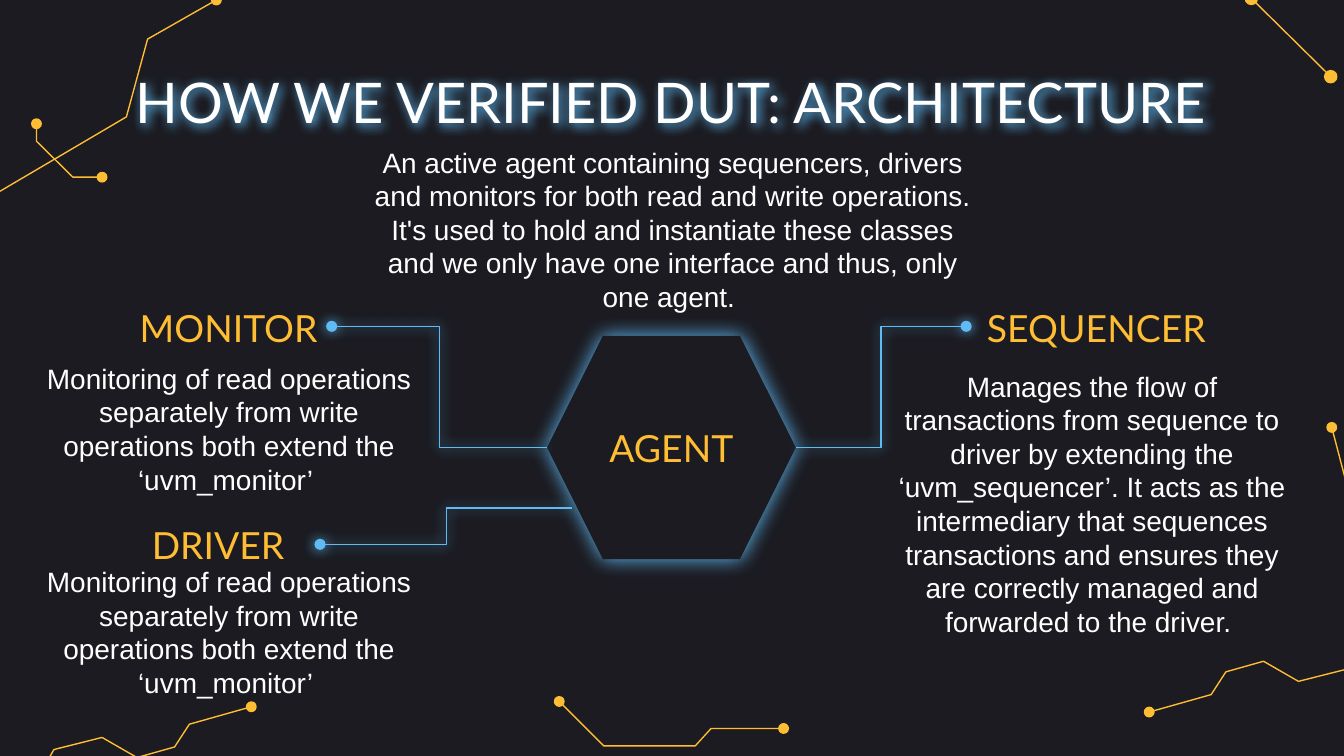
import pptx
import pptx.dml.color
import pptx.enum.shapes
import pptx.enum.text
import pptx.oxml
import pptx.oxml.ns
import pptx.util
from pptx.util import Cm

NIGHT, GOLD, SKY, WHITE = "1B1B21", "FFBD33", "60BBF5", "FFFFFF"
SHAPE = pptx.enum.shapes.MSO_SHAPE
CONNECTOR = pptx.enum.shapes.MSO_CONNECTOR
ALIGN = pptx.enum.text.PP_ALIGN
ANCHOR = pptx.enum.text.MSO_ANCHOR
NAMESPACE = pptx.oxml.ns.nsdecls("a")

CIRCUIT = [(3.45, 0), (3.89, 1.68), (4.37, 1.96), (4.65, 2.95), (3.73, 4.57),
           (2.82, 4.8), (2.16, 4.42), (1.45, 4.62), (1.17, 5.05), (0, 5.38)]
TURNED_CIRCUIT = [(4.65 - x, 5.38 - y) for x, y in CIRCUIT]

TRACES = [
    ((0.1, 13.36), TURNED_CIRCUIT, [-1], 0.18),
    ((-0.38, 0), [(4.47, 0), (3.17, 0.74), (2.77, 2.21), (0, 3.84)], [0], 0.18),
    ((21.72, 8.08), CIRCUIT, [0, -1], 0.18),
    ((10.57, 13.26), [(4.24, 0.51), (2.87, 0.51), (2.57, 0.84), (0.84, 0.84), (0, 0)], [0, -1], 0.18),
    ((0.69, 2.34), [(1.24, 1.01), (0.69, 1.01), (0, 0.33), (0, 0)], [0, -1], 0.18),
    ((23.65, -0.03), [(1.5, 1.48), (0, 0)], [0, -1], 0.23),
]

MONITORING = ("Monitoring of read operations separately from write operations "
              "both extend the ‘uvm_monitor’ ")
SEQUENCING = ("Manages the flow of transactions from sequence to driver by extending the "
              "‘uvm_sequencer’. It acts as the intermediary that sequences transactions and "
              "ensures they are correctly managed and forwarded to the driver. ")
OVERVIEW = ("An active agent containing sequencers, drivers and monitors for both read and "
            "write operations. It's used to hold and instantiate these classes and we only "
            "have one interface and thus, only one agent. ")


def color(value):
    return pptx.dml.color.RGBColor.from_string(value)


def paint_fill(fill, value):
    fill.solid()
    fill.fore_color.rgb = color(value)


def paint_line(line, value):
    line.color.rgb = color(value)
    line.width = pptx.util.Pt(0.75)


def add_effects(shape, blur=None, distance=0):
    shadow = ""
    if blur:
        shadow = (f'<a:outerShdw blurRad="{pptx.util.Pt(blur)}" dist="{pptx.util.Pt(distance)}" '
                  f'dir="2700000" algn="ctr" rotWithShape="0"><a:srgbClr val="{SKY}"/></a:outerShdw>')
    shape._element.spPr.append(
        pptx.oxml.parse_xml(f"<a:effectLst {NAMESPACE}>{shadow}</a:effectLst>"))


def add_text(slide, text, box, size=15, font="Arial", fill=WHITE,
             align=ALIGN.CENTER, anchor=ANCHOR.MIDDLE):
    shape = slide.shapes.add_textbox(*map(Cm, box))
    frame = shape.text_frame
    frame.word_wrap = True
    frame.vertical_anchor = anchor
    frame.margin_left = frame.margin_right = frame.margin_top = frame.margin_bottom = Cm(0.25)
    paragraph = frame.paragraphs[0]
    paragraph.alignment = align
    run = paragraph.add_run()
    run.text = text
    run.font.name = font
    run.font.size = pptx.util.Pt(size)
    run.font.color.rgb = color(fill)
    return shape


def add_heading(slide, text, box, align=ALIGN.LEFT):
    add_text(slide, text, box, size=20, font="Lato", fill=GOLD, align=align)


def add_connector(slide, kind, start, end, value):
    connector = slide.shapes.add_connector(kind, *map(Cm, (*start, *end)))
    paint_line(connector.line, value)
    return connector


def add_trace(slide, corner, points, ends, diameter):
    left, top = corner
    places = [(left + x, top + y) for x, y in points]
    if len(places) == 2:
        add_effects(add_connector(slide, CONNECTOR.STRAIGHT, *places, GOLD))
    else:
        vertices = [(Cm(x), Cm(y)) for x, y in places]
        builder = slide.shapes.build_freeform(*vertices[0])
        builder.add_line_segments(vertices[1:], close=False)
        trace = builder.convert_to_shape()
        trace.shadow.inherit = False
        trace.fill.background()
        paint_line(trace.line, GOLD)
    for end in ends:
        x, y = places[end]
        box = (x - diameter / 2, y - diameter / 2, diameter, diameter)
        dot = slide.shapes.add_shape(SHAPE.OVAL, *map(Cm, box))
        dot.shadow.inherit = False
        paint_fill(dot.fill, GOLD)
        paint_line(dot.line, GOLD)


def add_header(slide, box):
    left, top, width, height = box
    title = add_text(slide, "HOW WE VERIFIED DUT: ARCHITECTURE", (left, top, width, 1.6),
                     size=30, font="Lato")
    add_effects(title, blur=6, distance=1.5)
    add_text(slide, OVERVIEW, (left + 5.49, top + 1.9, 11.91, height - 1.9))


def add_topic(slide, box, heading, body, indent, heading_width, body_drop, align=ALIGN.LEFT):
    left, top, width, height = box
    add_text(slide, body, (left, top + body_drop, width, height - body_drop), anchor=ANCHOR.TOP)
    add_heading(slide, heading, (left + indent, top, heading_width, 1.12), align)


def add_agent(slide, box):
    left, top, width, height = box
    hexagon = slide.shapes.add_shape(SHAPE.HEXAGON, *map(Cm, box))
    paint_fill(hexagon.fill, NIGHT)
    hexagon.line.fill.background()
    add_effects(hexagon, blur=11.2)
    add_heading(slide, "AGENT", (left + (width - 3.43) / 2, top + (height - 1.12) / 2, 3.43, 1.12),
                ALIGN.CENTER)
    links = [((0, height / 2), (-4.07, -0.18)),
             ((width, height / 2), (7.92, -0.18)),
             ((0.48, 3.25), (-4.29, 3.94))]
    for link in links:
        start, end = [(left + x, top + y) for x, y in link]
        connector = add_connector(slide, CONNECTOR.ELBOW, start, end, SKY)
        connector.line._get_or_add_ln().append(
            pptx.oxml.parse_xml(f'<a:tailEnd {NAMESPACE} type="oval"/>'))
        add_effects(connector, blur=6.8)


def main():
    presentation = pptx.Presentation()
    presentation.slide_width, presentation.slide_height = Cm(25.4), Cm(14.29)
    slide = presentation.slides.add_slide(presentation.slide_layouts[6])
    paint_fill(slide.background.fill, NIGHT)
    for trace in TRACES:
        add_trace(slide, *trace)
    add_header(slide, (1.27, 1.12, 22.83, 4.52))
    add_agent(slide, (10.34, 6.35, 4.7, 4.22))
    add_topic(slide, (0.38, 9.73, 7.9, 3.64), "DRIVER", MONITORING, 2.24, 3.43, 0.69)
    add_topic(slide, (0.38, 5.64, 7.9, 3.56), "MONITOR", MONITORING, 2.01, 3.89, 0.94)
    add_topic(slide, (16.69, 5.64, 7.9, 6.47), "SEQUENCER", SEQUENCING, 1.57, 4.78, 1.09,
              ALIGN.RIGHT)
    presentation.save("out.pptx")


if __name__ == "__main__":
    main()
